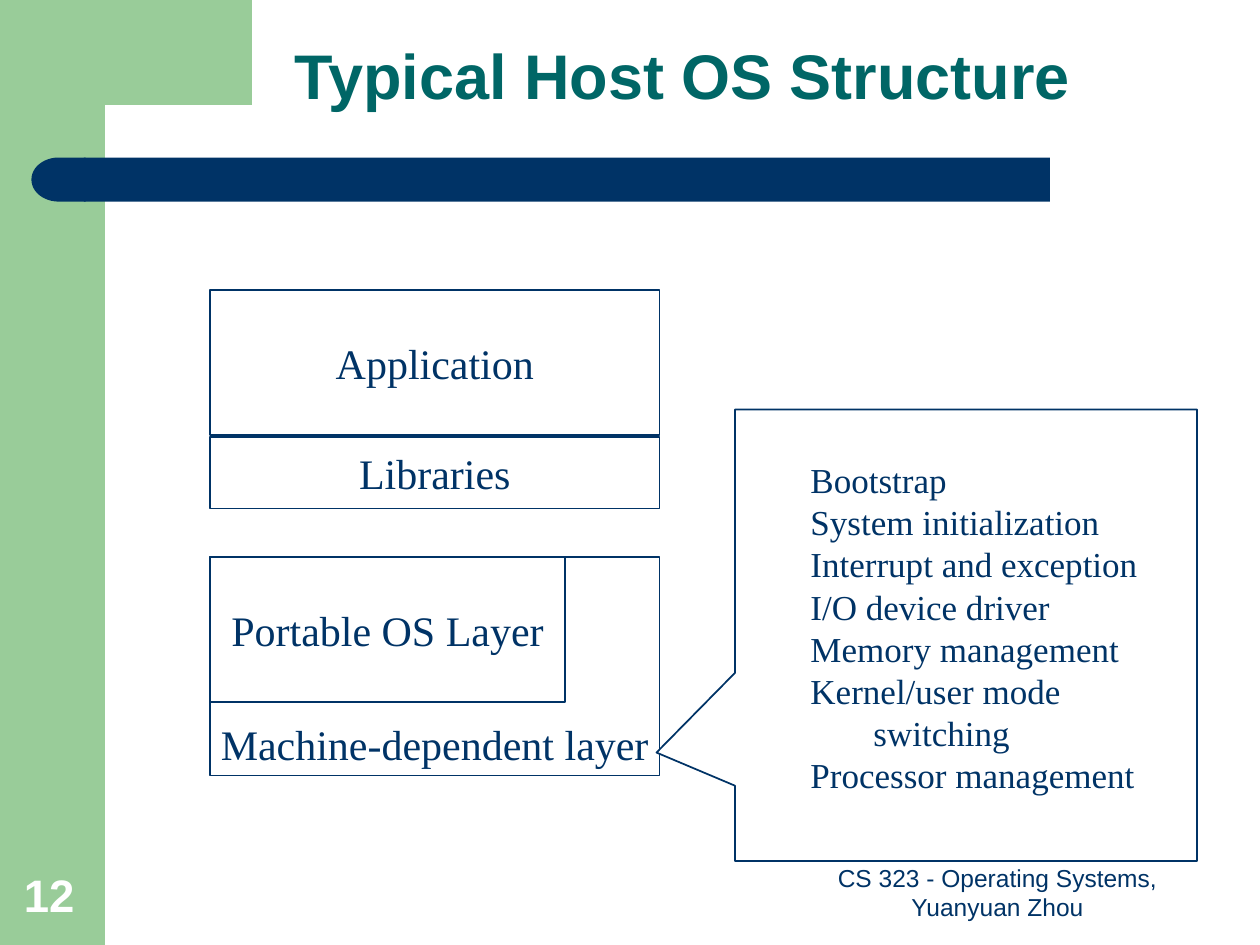
from pptx import Presentation
from pptx.dml.color import RGBColor
from pptx.enum.shapes import MSO_SHAPE
from pptx.enum.text import MSO_ANCHOR, PP_ALIGN
from pptx.util import Pt

GREEN = RGBColor(0x99, 0xCC, 0x99)
NAVY = RGBColor(0x00, 0x33, 0x66)
TEAL = RGBColor(0x00, 0x66, 0x66)
WHITE = RGBColor(0xFF, 0xFF, 0xFF)
SANS, SERIF = "Arial", "Times New Roman"

DUTIES = [
    "Bootstrap",
    "System initialization",
    "Interrupt and exception",
    "I/O device driver",
    "Memory management",
    "Kernel/user mode switching",
    "Processor management",
]


def paint(sp, fill=None, line=None):
    sp.shadow.inherit = False
    if fill is None:
        sp.fill.background()
    else:
        sp.fill.solid()
        sp.fill.fore_color.rgb = fill
    if line is None:
        sp.line.fill.background()
    else:
        sp.line.color.rgb = line
        sp.line.width = Pt(1)


def add_shape(slide, kind, box, fill=None, line=None):
    sp = slide.shapes.add_shape(kind, *map(Pt, box))
    paint(sp, fill, line)
    return sp


def write(sp, *lines, size, font=SERIF, color=NAVY, bold=False, wrap=True,
          align=PP_ALIGN.CENTER, anchor=MSO_ANCHOR.MIDDLE, spacing=None,
          margin=0, hanging=0, top=3.6):
    """Fill a shape with one paragraph per line; margin and hanging indent in points."""
    tf = sp.text_frame
    tf.word_wrap = wrap
    tf.vertical_anchor = anchor
    tf.margin_top = Pt(top)
    for i, line in enumerate(lines):
        p = tf.paragraphs[0] if i == 0 else tf.add_paragraph()
        p.alignment = align
        p.line_spacing = spacing
        if margin:
            pPr = p._p.get_or_add_pPr()
            pPr.set("marL", str(Pt(margin)))
            pPr.set("indent", str(Pt(-hanging)))
        r = p.add_run()
        r.text = line
        r.font.size = Pt(size)
        r.font.name = font
        r.font.bold = bold
        r.font.color.rgb = color


def add_text(slide, box, text, **fmt):
    write(slide.shapes.add_textbox(*map(Pt, box)), text, **fmt)


def draw_frame(slide, width, height):
    """Green side band with its corner piece, and the navy bar with a round end."""
    band, corner_h, bar_y, bar_h = 60, 60, 90, 25.2
    add_shape(slide, MSO_SHAPE.RECTANGLE, (0, 0, band, height), GREEN)
    outline = [(width / 5, 0), (width / 5, corner_h), (58, corner_h), (55.4, 61.2),
               (51.1, 66.2), (49, 74.9), (48.2, 83.5), (48.2, 92), (36, 92)]
    fb = slide.shapes.build_freeform(Pt(36), Pt(0))
    fb.add_line_segments([(Pt(x), Pt(y)) for x, y in outline])
    paint(fb.convert_to_shape(), GREEN)
    add_shape(slide, MSO_SHAPE.RECTANGLE, (48, bar_y, 552, bar_h), NAVY)
    cap = add_shape(slide, MSO_SHAPE.FLOWCHART_DELAY, (18, bar_y, 31, bar_h), NAVY)
    cap._element.spPr.get_or_add_xfrm().set("flipH", "1")


def draw_layers(slide, x, y, width):
    """User-level stack on top, kernel stack below it."""
    tall, kernel_y = 83, y + 152.6
    layers = [
        ("Application", y, width, tall, MSO_ANCHOR.MIDDLE),
        ("Portable OS Layer", kernel_y, 203, tall, MSO_ANCHOR.MIDDLE),
        ("Libraries", y + 84, width, 41, MSO_ANCHOR.MIDDLE),
        ("Machine-dependent layer", kernel_y, width, 125, MSO_ANCHOR.BOTTOM),
    ]
    for text, top, w, h, anchor in layers:
        sp = add_shape(slide, MSO_SHAPE.RECTANGLE, (x, top, w, h), line=NAVY)
        write(sp, text, size=24, wrap=False, anchor=anchor)


def draw_callout(slide, box):
    sp = add_shape(slide, MSO_SHAPE.RECTANGULAR_CALLOUT, box, WHITE, NAVY)
    sp.adjustments[0], sp.adjustments[1] = -0.67, 0.26
    write(sp, *DUTIES, size=20, align=PP_ALIGN.LEFT, anchor=MSO_ANCHOR.TOP,
          margin=72, hanging=36, top=28, spacing=Pt(24.1))


def draw_footer(slide, y, height):
    add_text(slide, (456, y, 228, height), "CS 323 - Operating Systems, Yuanyuan Zhou",
             size=14, font=SANS, anchor=MSO_ANCHOR.BOTTOM)
    add_text(slide, (6.5, y, 46, height), "12", size=26, font=SANS, color=WHITE,
             bold=True, align=PP_ALIGN.LEFT, anchor=MSO_ANCHOR.BOTTOM)


def main():
    prs = Presentation()
    prs.slide_width, prs.slide_height = Pt(720), Pt(540)
    slide = prs.slides.add_slide(prs.slide_layouts[6])
    draw_frame(slide, 720, 540)
    add_text(slide, (78, 0, 624, 90), "Typical Host OS Structure", size=36,
             font=SANS, color=TEAL, bold=True, spacing=0.9)
    draw_layers(slide, 120, 165.6, 257)
    draw_callout(slide, (420, 234, 264, 258))
    draw_footer(slide, 492, 38)
    prs.save("out.pptx")


if __name__ == "__main__":
    main()
